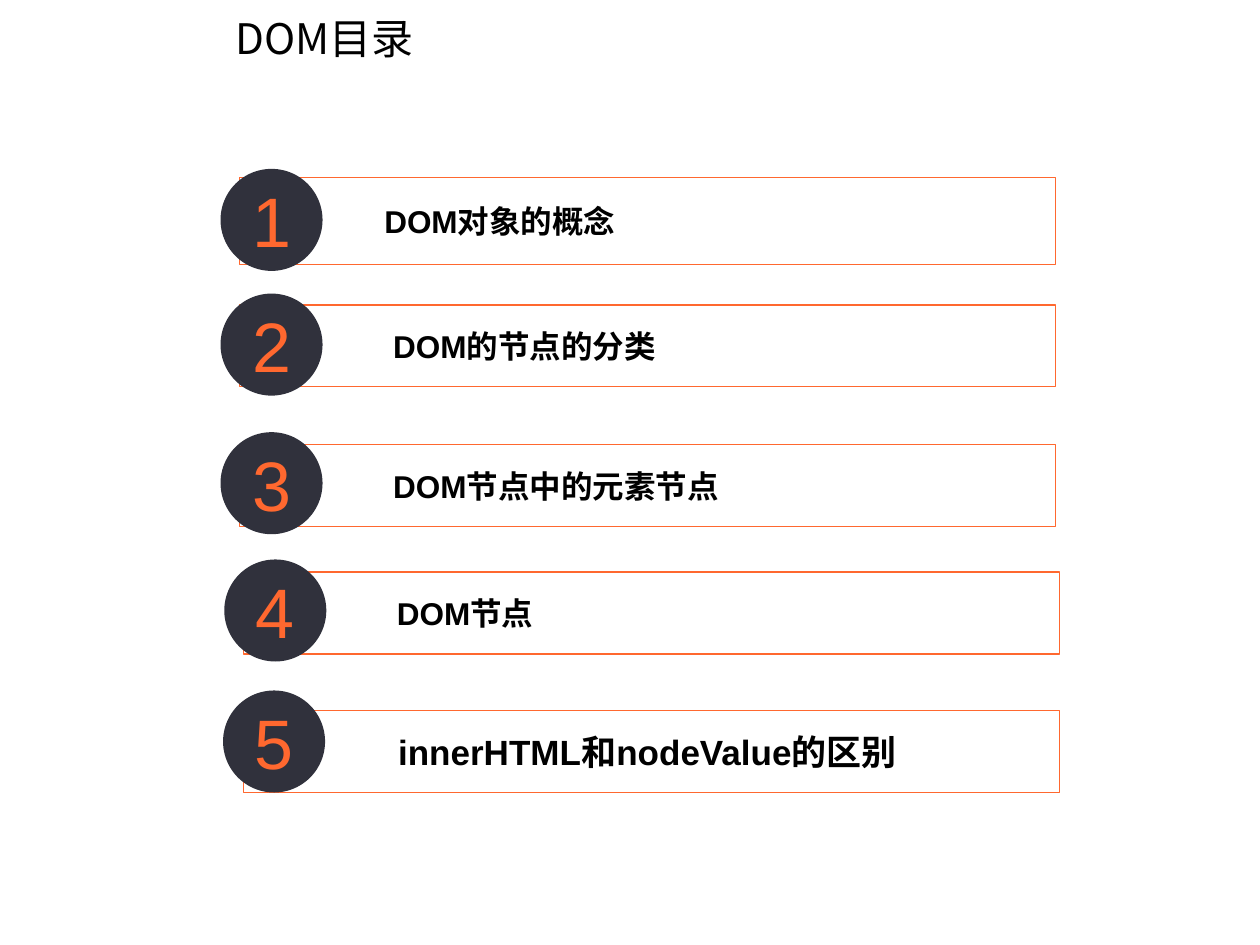
from dataclasses import dataclass

from lxml.etree import SubElement
from pptx import Presentation
from pptx.dml.color import RGBColor
from pptx.enum.shapes import MSO_SHAPE as Shape
from pptx.enum.text import MSO_ANCHOR as Anchor, PP_ALIGN as Align
from pptx.oxml.ns import qn
from pptx.util import Inches, Pt

COLORS = {"text": "000000", "accent": "FF682F", "badge": "30313C", "panel": "FFFFFF"}
BAR_WIDTH = 6.48
BADGE_SIZE = 0.81
PANEL_OPACITY = 40


@dataclass(frozen=True)
class Topic:
    heading: str
    bar_left: float
    bar_top: float
    badge_left: float
    badge_top: float
    bar_height: float = 0.65
    indent: float = 0.57
    size: int = 18


TOPICS = [
    Topic("DOM对象的概念", 1.9, 1.41, 1.75, 1.34, bar_height=0.69, indent=0.5),
    Topic("DOM的节点的分类", 1.9, 2.42, 1.75, 2.33),
    Topic("DOM节点中的元素节点", 1.9, 3.53, 1.75, 3.43),
    Topic("DOM节点", 1.93, 4.54, 1.78, 4.44),
    Topic("innerHTML和nodeValue的区别", 1.93, 5.64, 1.77, 5.48, indent=0.58, size=20),
]


def color(name: str) -> RGBColor:
    return RGBColor.from_string(COLORS[name])


def set_insets(frame, left: float, top: float, right: float, bottom: float) -> None:
    frame.margin_left, frame.margin_right = Inches(left), Inches(right)
    frame.margin_top, frame.margin_bottom = Inches(top), Inches(bottom)


def write(frame, words: str, size: int, tint: str, align, bold: bool = False,
          font_name: str = "Arial"):
    frame.word_wrap = True
    paragraph = frame.paragraphs[0]
    paragraph.text = words
    paragraph.alignment = align
    font = paragraph.font
    font.name, font.size, font.bold = font_name, Pt(size), bold
    font.color.rgb = color(tint)
    return paragraph


def add_filled(slide, preset, left: float, top: float, width: float, height: float, fill: str):
    shape = slide.shapes.add_shape(
        preset, Inches(left), Inches(top), Inches(width), Inches(height))
    shape.shadow.inherit = False
    shape.fill.solid()
    shape.fill.fore_color.rgb = color(fill)
    shape.text_frame.vertical_anchor = Anchor.MIDDLE
    return shape


def add_bar(slide, topic: Topic) -> None:
    bar = add_filled(slide, Shape.RECTANGLE, topic.bar_left, topic.bar_top,
                     BAR_WIDTH, topic.bar_height, "panel")
    panel_color = next(bar.element.spPr.iter(qn("a:srgbClr")))
    SubElement(panel_color, qn("a:alpha"), val=str(PANEL_OPACITY * 1000))
    bar.line.color.rgb = color("accent")
    bar.line.width = Pt(0.75)
    set_insets(bar.text_frame, 0.65, 0.08, 0.08, 0.08)
    heading = write(bar.text_frame, topic.heading, topic.size, "text", Align.LEFT, bold=True)
    heading.level = 1
    properties = heading._p.get_or_add_pPr()
    properties.set("marL", str(Inches(topic.indent)))
    properties.set("indent", "0")


def add_badge(slide, topic: Topic, number: int) -> None:
    badge = add_filled(slide, Shape.OVAL, topic.badge_left, topic.badge_top,
                       BADGE_SIZE, BADGE_SIZE, "badge")
    badge.line.fill.background()
    set_insets(badge.text_frame, 0.1, 0.05, 0.1, 0.05)
    write(badge.text_frame, str(number), 40, "accent", Align.CENTER)


def format_title(title) -> None:
    title.left, title.top = Inches(1.77), Inches(0.05)
    title.width, title.height = Inches(4.02), Inches(0.5)
    title.text_frame.vertical_anchor = Anchor.TOP
    set_insets(title.text_frame, 0.1, 0.05, 0.1, 0.05)
    paragraph = write(title.text_frame, "DOM目录", 24, "text", Align.LEFT,
                      font_name="Noto Sans CJK SC")
    latin = next(paragraph._p.iter(qn("a:latin")))
    east_asian = latin.makeelement(qn("a:ea"), {"typeface": "Noto Sans CJK SC"})
    latin.addnext(east_asian)


def main() -> None:
    deck = Presentation()
    deck.slide_width, deck.slide_height = Inches(10), Inches(7.5)
    slide = deck.slides.add_slide(deck.slide_layouts.get_by_name("Title Only"))
    format_title(slide.shapes.title)
    for number, topic in enumerate(TOPICS, start=1):
        add_bar(slide, topic)
        add_badge(slide, topic, number)
    deck.save("out.pptx")


if __name__ == "__main__":
    main()
